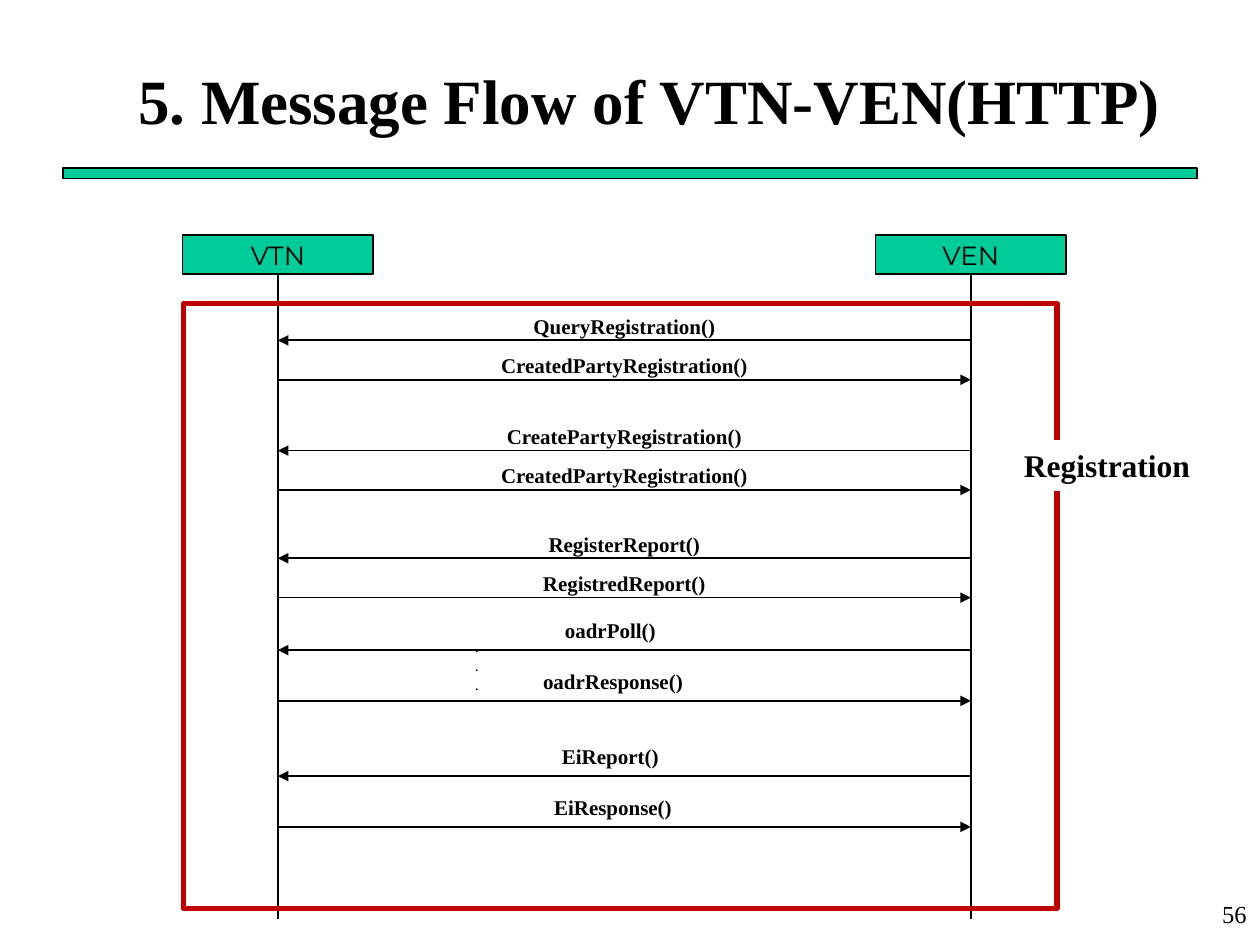
from collections import namedtuple

from pptx import Presentation
from pptx.dml.color import RGBColor
from pptx.enum import shapes, text
from pptx.oxml.ns import qn
from pptx.util import Pt
from lxml import etree

BLACK = RGBColor(0x00, 0x00, 0x00)
WHITE = RGBColor(0xFF, 0xFF, 0xFF)
GREEN = RGBColor(0x00, 0xCC, 0x99)
RED = RGBColor(0xC0, 0x00, 0x00)
SERIF = "Times New Roman"
SANS = "Montserrat"
LEFT, CENTER, RIGHT = text.PP_ALIGN.LEFT, text.PP_ALIGN.CENTER, text.PP_ALIGN.RIGHT
TOP, MIDDLE = text.MSO_ANCHOR.TOP, text.MSO_ANCHOR.MIDDLE

Box = namedtuple("Box", "left top width height")
Message = namedtuple("Message", "label line_top label_rise label_shift label_width")

MESSAGES = [
    Message("QueryRegistration()", 60, 19, 0, 181),
    Message("CreatedPartyRegistration()", 82.5, 19, 0, 157),
    Message("CreatePartyRegistration()", 123, 19, 0, 151),
    Message("CreatedPartyRegistration()", 145.5, 19, 0, 157),
    Message("RegisterReport()", 184.5, 19, 0, 102),
    Message("RegistredReport()", 207, 19, 0, 164),
    Message("oadrPoll()", 237, 22, -8, 102),
    Message("oadrResponse()", 266, 22, -6.5, 143),
    Message("EiReport()", 309, 22, -8, 102),
    Message("EiResponse()", 338, 22, -6.5, 143),
]


def place(shape, box):
    for name, value in box._asdict().items():
        setattr(shape, name, Pt(value))


def write(shape, lines, size, align=LEFT, anchor=TOP, wrap=False, bold=False, font=SERIF):
    frame = shape.text_frame
    frame.text = "\n".join(lines)
    frame_format = {"word_wrap": wrap, "vertical_anchor": anchor,
                    "auto_size": text.MSO_AUTO_SIZE.NONE}
    for name, value in frame_format.items():
        setattr(frame, name, value)
    font_format = {"name": font, "size": Pt(size), "bold": bold}
    for paragraph in frame.paragraphs:
        paragraph.alignment = align
        for run in paragraph.runs:
            for name, value in font_format.items():
                setattr(run.font, name, value)
            run.font.color.rgb = BLACK


def add_label(slide, box, lines, size, **options):
    label = slide.shapes.add_textbox(*map(Pt, box))
    write(label, lines, size, **options)
    return label


def add_rectangle(slide, box, fill=None, line=None, weight=1):
    shape = slide.shapes.add_shape(shapes.MSO_SHAPE.RECTANGLE, *map(Pt, box))
    shape.shadow.inherit = False
    if fill is None:
        shape.fill.background()
    else:
        shape.fill.solid()
        shape.fill.fore_color.rgb = fill
    if line is None:
        shape.line.fill.background()
    else:
        shape.line.color.rgb = line
        shape.line.width = Pt(weight)
    return shape


def add_line(slide, start, end, arrow=None):
    connector = slide.shapes.add_connector(
        shapes.MSO_CONNECTOR.STRAIGHT, *map(Pt, (*start, *end)))
    connector.line.color.rgb = BLACK
    connector.line.width = Pt(1)
    properties = connector._element.spPr
    if arrow:
        etree.SubElement(connector.line._get_or_add_ln(), qn(f"a:{arrow}"), type="triangle")
    etree.SubElement(properties, qn("a:effectLst"))
    return connector


def add_heading(slide, box):
    add_rectangle(slide, Box(box.left, box.top + 72, 648, 6), GREEN, BLACK, 0.75)
    title = slide.shapes.title
    place(title, Box(box.left, box.top, box.width, 66))
    write(title, ["5. Message Flow of VTN-VEN(HTTP)"], 36, align=CENTER,
          anchor=MIDDLE, wrap=True, bold=True)


def add_participant(slide, box, name):
    header = add_rectangle(slide, Box(box.left, box.top, box.width, 22), GREEN, BLACK)
    write(header, [name], 15, align=CENTER, anchor=MIDDLE, font=SANS)
    center = box.left + box.width / 2
    lifeline = add_line(slide, (center, box.top + 22), (center, box.top + box.height))
    lifeline.begin_connect(header, 2)


def add_sequence(slide, box):
    header_width = 109
    right_header = box.left + box.width - header_width
    for name, left in (("VTN", box.left), ("VEN", right_header)):
        add_participant(slide, Box(left, box.top, header_width, box.height), name)

    vtn = box.left + header_width / 2
    ven = right_header + header_width / 2
    for index, message in enumerate(MESSAGES):
        y = box.top + message.line_top
        arrow = "tailEnd" if index % 2 else "headEnd"
        add_line(slide, (vtn, y), (ven, y), arrow)
        left = (vtn + ven - message.label_width) / 2 + message.label_shift
        add_label(slide, Box(left, y - message.label_rise, message.label_width, 21.5),
                  [message.label], 12, align=CENTER, bold=True)
    add_label(slide, Box(box.left + 160, box.top + 226, 25, 40), ["."] * 3, 9, wrap=True)


def add_phase(slide, box, name):
    add_rectangle(slide, box, line=RED, weight=3)
    tag = add_rectangle(slide, Box(box.left + 473, box.top + 78, 110, 29), WHITE)
    write(tag, [name], 18, bold=True)


def main():
    presentation = Presentation()
    presentation.slide_width = Pt(720)
    presentation.slide_height = Pt(540)
    slide = presentation.slides.add_slide(presentation.slide_layouts[5])
    add_heading(slide, Box(36, 24, 670, 78))
    add_sequence(slide, Box(104.3, 134.5, 505, 390.5))
    add_phase(slide, Box(105, 173.5, 499, 345.5), "Registration")
    add_label(slide, Box(569.5, 510, 150, 30), ["56"], 14, align=RIGHT)
    presentation.save("out.pptx")


if __name__ == "__main__":
    main()
